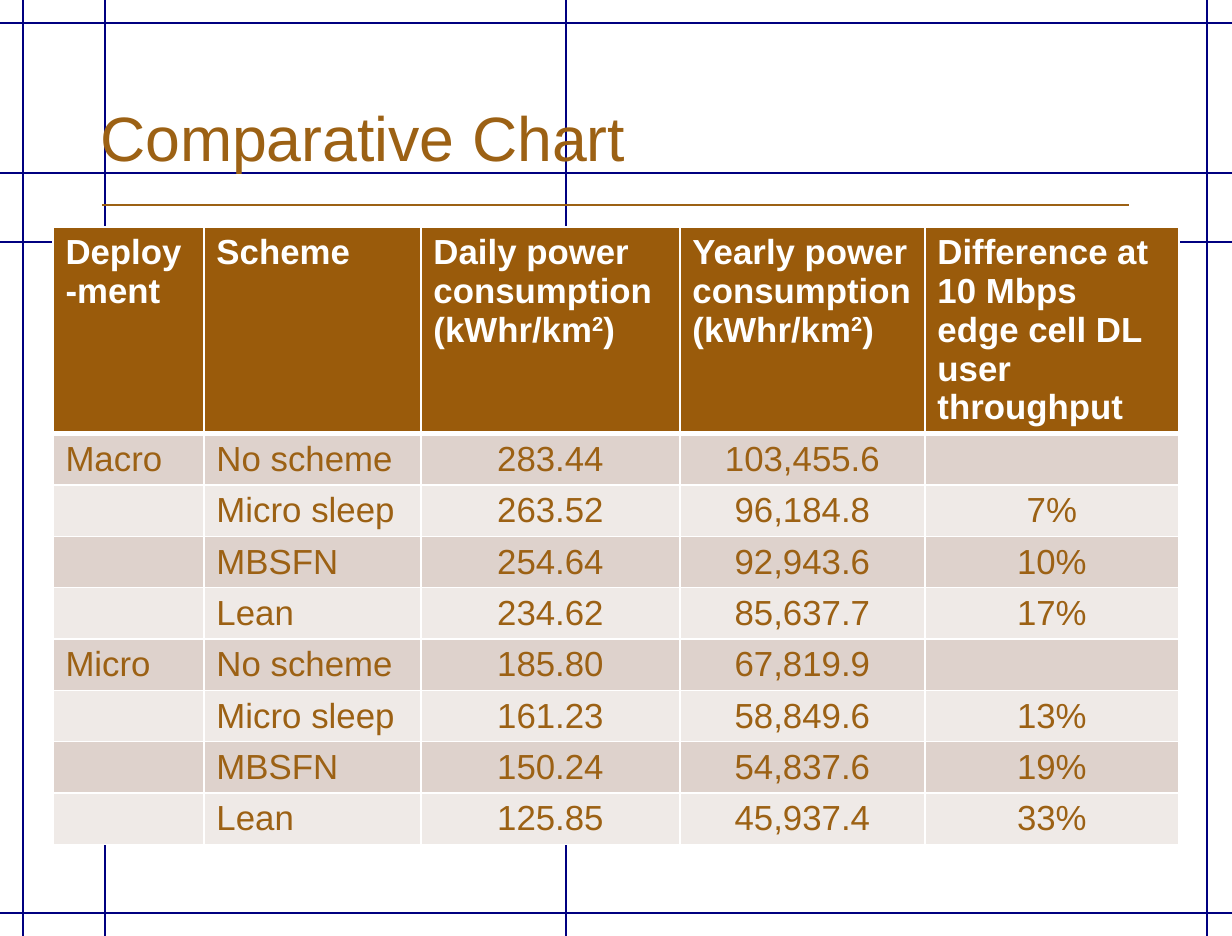
"""Build the Comparative Chart slide with its guide lines and power table."""
from dataclasses import dataclass

from lxml import etree
from pptx import Presentation, util as u
from pptx.dml.color import RGBColor
from pptx.enum import shapes, text
from pptx.oxml import ns


@dataclass(frozen=True)
class Theme:
    font: str = "Arial"
    title_pt: int = 36
    table_pt: int = 20
    rule_pt: float = 0.75
    border_pt: int = 1
    header_border_pt: int = 3
    guide: str = "000080"
    brown: str = "9C6114"
    header: str = "9A5B0B"
    bands: tuple[str, str] = ("DED2CC", "EFEAE7")
    white: str = "FFFFFF"


@dataclass(frozen=True)
class Line:
    x1: int
    y1: int
    x2: int
    y2: int
    color: str


@dataclass(frozen=True)
class Record:
    deployment: str
    scheme: str
    daily: str
    yearly: str
    difference: str

    def cells(self) -> tuple[str, ...]:
        return (self.deployment, self.scheme, self.daily, self.yearly, self.difference)


THEME = Theme()
EMU_PER_PX = 914400 / 125.2
WIDTH, HEIGHT = 1232, 936
TABLE_LEFT, TABLE_TOP = 53, 227
COLUMNS = (151, 217, 259, 245, 254)
HEADER_HEIGHT, ROW_HEIGHT = 206, 51
FIRST_CENTERED = 2

LINES = (
    *(Line(0, y, WIDTH, y, THEME.guide) for y in (242, 23, 173, 913)),
    *(Line(x, 0, x, HEIGHT, THEME.guide) for x in (23, 1207, 566, 105)),
    Line(102, 205, 1129, 205, THEME.brown),
)

HEADER = Record(
    "Deploy-ment",
    "Scheme",
    "Daily power consumption (kWhr/km²)",
    "Yearly power consumption (kWhr/km²)",
    "Difference at 10 Mbps edge cell DL user throughput",
)
RECORDS = (
    Record("Macro", "No scheme", "283.44", "103,455.6", ""),
    Record("", "Micro sleep", "263.52", "96,184.8", "7%"),
    Record("", "MBSFN", "254.64", "92,943.6", "10%"),
    Record("", "Lean", "234.62", "85,637.7", "17%"),
    Record("Micro", "No scheme", "185.80", "67,819.9", ""),
    Record("", "Micro sleep", "161.23", "58,849.6", "13%"),
    Record("", "MBSFN", "150.24", "54,837.6", "19%"),
    Record("", "Lean", "125.85", "45,937.4", "33%"),
)


def px(n: int) -> u.Emu:
    return u.Emu(round(n * EMU_PER_PX))


def rgb(color: str) -> RGBColor:
    return RGBColor.from_string(color)


def style_run(r, size: int, color: str, bold: bool = False) -> None:
    r.font.name = THEME.font
    r.font.size = u.Pt(size)
    r.font.bold = bold
    r.font.color.rgb = rgb(color)


def add_line(s, line: Line) -> None:
    ends = (px(n) for n in (line.x1, line.y1, line.x2, line.y2))
    connector = s.shapes.add_connector(shapes.MSO_CONNECTOR.STRAIGHT, *ends)
    connector.line.color.rgb = rgb(line.color)
    connector.line.width = u.Pt(THEME.rule_pt)
    etree.SubElement(connector._element.spPr, ns.qn("a:effectLst"))


def format_title(s, title: str) -> None:
    sp = s.shapes.title
    s.shapes._spTree.append(sp._element)
    sp.left, sp.top, sp.width, sp.height = px(53), px(33), px(1010), px(147)
    tf = sp.text_frame
    tf.text = title
    tf.auto_size = text.MSO_AUTO_SIZE.NONE
    tf.vertical_anchor = text.MSO_ANCHOR.BOTTOM
    tf.margin_left = px(47)
    p = tf.paragraphs[0]
    p.alignment = text.PP_ALIGN.LEFT
    style_run(p.runs[0], THEME.title_pt, THEME.brown)


def set_borders(cell, bottom_pt: int) -> None:
    tc_pr = cell._tc.get_or_add_tcPr()
    for side in "LRTB":
        width = bottom_pt if side == "B" else THEME.border_pt
        border = etree.SubElement(tc_pr, ns.qn(f"a:ln{side}"), w=str(u.Pt(width)))
        fill = etree.SubElement(border, ns.qn("a:solidFill"))
        etree.SubElement(fill, ns.qn("a:srgbClr"), val=THEME.white)


def fill_cell(cell, value: str, row: int, column: int) -> None:
    is_header = row == 0
    set_borders(cell, THEME.header_border_pt if is_header else THEME.border_pt)
    cell.fill.solid()
    cell.fill.fore_color.rgb = rgb(THEME.header if is_header else THEME.bands[(row - 1) % 2])
    p = cell.text_frame.paragraphs[0]
    if not is_header and column >= FIRST_CENTERED:
        p.alignment = text.PP_ALIGN.CENTER
    for part in filter(None, value.partition("²")):
        r = p.add_run()
        r.text = "2" if part == "²" else part
        style_run(r, THEME.table_pt, THEME.white if is_header else THEME.brown, is_header)
        if part == "²":
            r.font._element.set("baseline", "30000")


def add_power_table(s, records: tuple[Record, ...]) -> None:
    height = HEADER_HEIGHT + ROW_HEIGHT * (len(records) - 1)
    table = s.shapes.add_table(
        len(records), len(COLUMNS),
        px(TABLE_LEFT), px(TABLE_TOP), px(sum(COLUMNS)), px(height),
    ).table
    for column, width in zip(table.columns, COLUMNS):
        column.width = px(width)
    for i, record in enumerate(records):
        table.rows[i].height = px(ROW_HEIGHT if i else HEADER_HEIGHT)
        for j, value in enumerate(record.cells()):
            fill_cell(table.cell(i, j), value, i, j)


def main() -> None:
    prs = Presentation()
    prs.slide_width, prs.slide_height = px(WIDTH), px(HEIGHT)
    s = prs.slides.add_slide(prs.slide_layouts.get_by_name("Title Only"))
    for line in LINES:
        add_line(s, line)
    format_title(s, "Comparative Chart")
    add_power_table(s, (HEADER, *RECORDS))
    prs.save("out.pptx")


if __name__ == "__main__":
    main()
